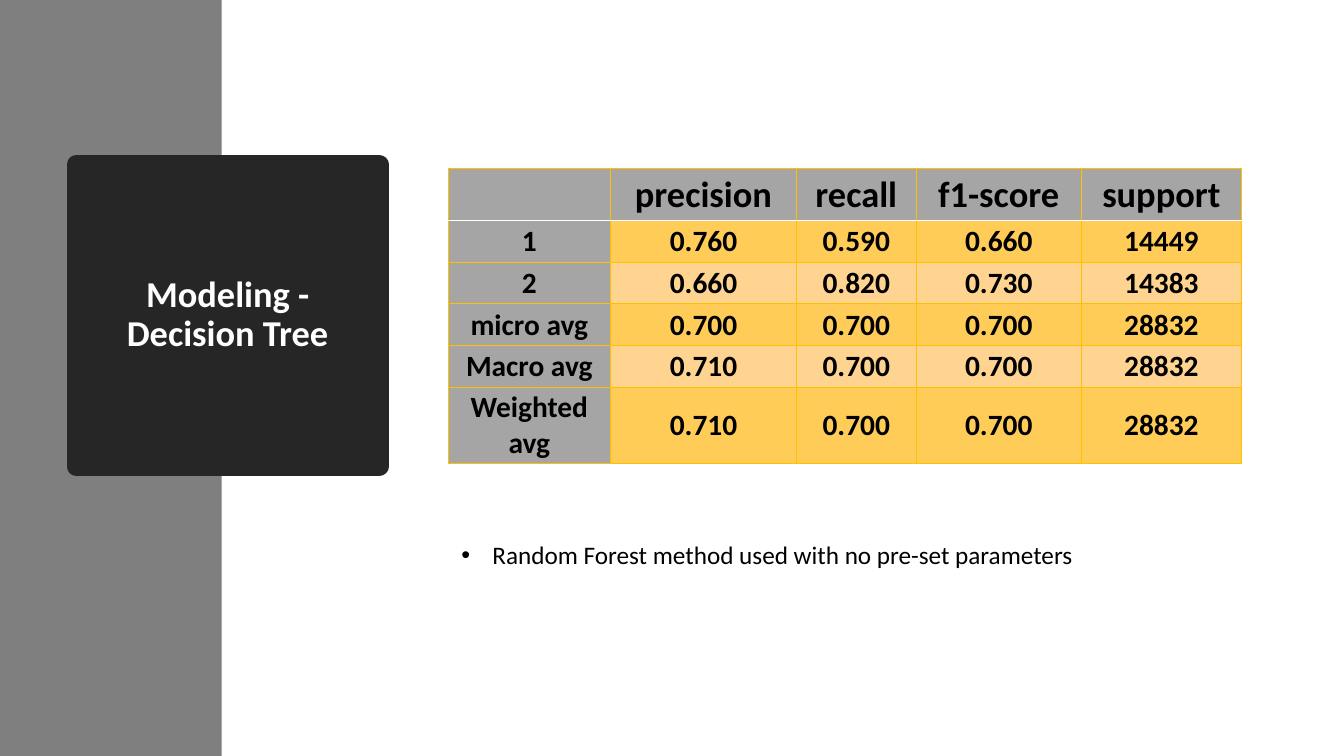
"""Build the decision tree results slide."""
from lxml import etree
from pptx import Presentation
from pptx.dml.color import RGBColor
from pptx.enum.shapes import MSO_SHAPE
from pptx.enum.text import MSO_ANCHOR, MSO_AUTO_SIZE, PP_ALIGN
from pptx.oxml.ns import qn
from pptx.util import Cm, Pt

RECTANGLE = MSO_SHAPE.RECTANGLE
MIDDLE = MSO_ANCHOR.MIDDLE
CENTER = PP_ALIGN.CENTER
NO_AUTOFIT = MSO_AUTO_SIZE.NONE

BAND_GRAY = RGBColor(0x7F, 0x7F, 0x7F)
CHARCOAL = RGBColor(0x26, 0x26, 0x26)
HEADER_GRAY = RGBColor(0xA5, 0xA5, 0xA5)
GOLD = RGBColor(0xFF, 0xC0, 0x00)
AMBER = RGBColor(0xFF, 0xCC, 0x57)
PEACH = RGBColor(0xFF, 0xD3, 0x90)
WHITE = RGBColor(0xFF, 0xFF, 0xFF)
BLACK = RGBColor(0x00, 0x00, 0x00)

SCORES = [
    ["", "precision", "recall", "f1-score", "support"],
    ["1", "0.760", "0.590", "0.660", "14449"],
    ["2", "0.660", "0.820", "0.730", "14383"],
    ["micro avg", "0.700", "0.700", "0.700", "28832"],
    ["Macro avg", "0.710", "0.700", "0.700", "28832"],
    ["Weighted avg", "0.710", "0.700", "0.700", "28832"],
]
COLUMN_WIDTHS = [4.08, 4.7, 3, 4.18, 4.02]
ROW_HEIGHTS = [1.3, 1.05, 1.05, 1.05, 1.05, 1.93]


def style_text(para, size, color, bold=False):
    para.font.name = "Calibri"
    para.font.size = Pt(size)
    para.font.bold = bold
    para.font.color.rgb = color


def add_border(cell, side, color, width):
    properties = cell._tc.get_or_add_tcPr()
    line = etree.SubElement(properties, qn(f"a:{side}"), w=str(Pt(width)))
    fill = etree.SubElement(line, qn("a:solidFill"))
    etree.SubElement(fill, qn("a:srgbClr"), val=str(color))


deck = Presentation()
deck.slide_width, deck.slide_height = Cm(33.87), Cm(19.05)
page = deck.slides.add_slide(deck.slide_layouts[5])

title = page.shapes.title
title.left, title.top, title.width, title.height = Cm(1.93), Cm(4.14), Cm(7.62), Cm(7.62)
title.fill.solid()
title.fill.fore_color.rgb = CHARCOAL
title.line.color.rgb = CHARCOAL
title.line.width = Pt(13.75)
frame = title.text_frame
frame.text = "Modeling - Decision Tree"
frame.word_wrap = True
frame.auto_size = NO_AUTOFIT
frame.vertical_anchor = MIDDLE
frame.margin_left = frame.margin_right = Cm(0.75)
para = frame.paragraphs[0]
para.alignment = CENTER
para.line_spacing = 0.9
style_text(para, 26, WHITE, bold=True)

band = page.shapes.add_shape(RECTANGLE, 0, 0, Cm(5.59), deck.slide_height)
band.shadow.inherit = False
band.fill.solid()
band.fill.fore_color.rgb = BAND_GRAY
band.line.fill.background()
title.element.addprevious(band.element)

note = page.shapes.add_textbox(Cm(11.23), Cm(13.56), Cm(19.96), Cm(3.58))
note.text_frame.word_wrap = True
para = note.text_frame.paragraphs[0]
para.text = "Random Forest method used with no pre-set parameters"
para.line_spacing = 0.9
para.space_after = Pt(6)
style_text(para, 18, BLACK)
properties = para._p.get_or_add_pPr()
properties.set("marL", str(Cm(0.93)))
properties.set("indent", str(Cm(-0.78)))
etree.SubElement(properties, qn("a:buFont"), typeface="Arial")
etree.SubElement(properties, qn("a:buChar"), char="•")
properties.append(properties.find(qn("a:defRPr")))

table = page.shapes.add_table(
    len(SCORES), len(COLUMN_WIDTHS), Cm(11.3), Cm(4.25),
    Cm(sum(COLUMN_WIDTHS)), Cm(sum(ROW_HEIGHTS))).table
for column, width in zip(table.columns, COLUMN_WIDTHS):
    column.width = Cm(width)
for row, height in zip(table.rows, ROW_HEIGHTS):
    row.height = Cm(height)

for row_index, scores in enumerate(SCORES):
    for column_index, score in enumerate(scores):
        cell = table.cell(row_index, column_index)
        cell.text = score
        cell.vertical_anchor = MIDDLE
        cell.margin_left = cell.margin_right = cell.margin_top = Cm(0.03)
        cell.margin_bottom = 0
        para = cell.text_frame.paragraphs[0]
        para.alignment = CENTER
        style_text(para, 26 if row_index == 0 else 21, BLACK, bold=True)
        for side in ("lnL", "lnR", "lnT", "lnB"):
            under_header = (row_index, side) in ((0, "lnB"), (1, "lnT"))
            add_border(cell, side, WHITE if under_header else GOLD, 1 if under_header else 0.5)
        cell.fill.solid()
        if row_index == 0 or column_index == 0:
            cell.fill.fore_color.rgb = HEADER_GRAY
        else:
            cell.fill.fore_color.rgb = AMBER if row_index % 2 else PEACH

deck.save("out.pptx")
